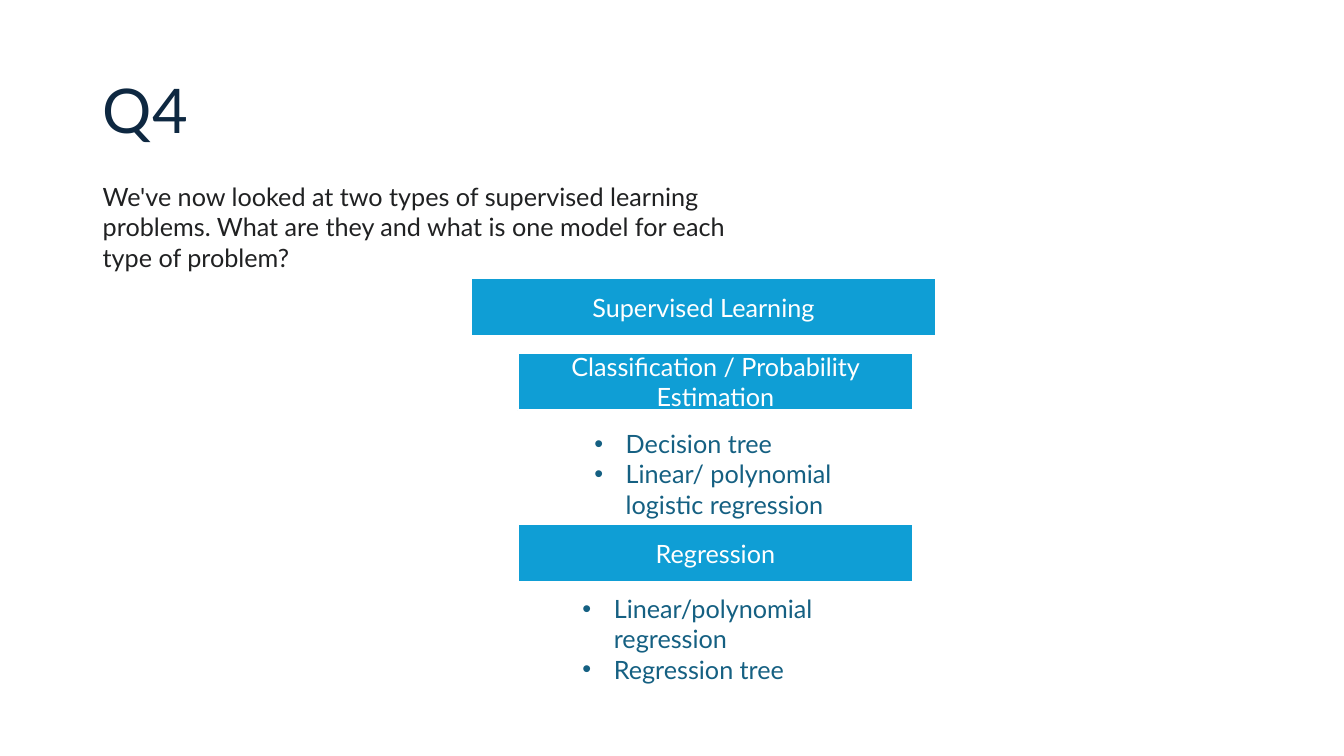
"""Build the Q4 slide on the two types of supervised learning problems."""
from lxml.etree import SubElement
from pptx import Presentation
from pptx.dml.color import RGBColor
from pptx.enum.shapes import MSO_SHAPE as Shape
from pptx.enum.text import MSO_ANCHOR as Anchor, PP_ALIGN as Align
from pptx.oxml.ns import qn
from pptx.util import Cm, Pt

NAVY = RGBColor(0x0E, 0x28, 0x41)
INK = RGBColor(0x20, 0x21, 0x22)
BLUE = RGBColor(0x0F, 0x9E, 0xD5)
TEAL = RGBColor(0x15, 0x60, 0x82)
WHITE = RGBColor(0xFF, 0xFF, 0xFF)

TITLE = "Q4"
QUESTION = ("We've now looked at two types of supervised learning problems. "
            "What are they and what is one model for each type of problem?")
ROOT = "Supervised Learning"
BRANCHES = [
    ("Classification / Probability Estimation", 8.89, 14.73,
     ["Decision tree", "Linear/ polynomial logistic regression"]),
    ("Regression", 13.21, 14.43,
     ["Linear/polynomial regression", "Regression tree"]),
]

MARGIN = 2.34
BAR_CENTRE = 17.73
BRANCH_CENTRE = 18.03
ROOT_WIDTH, BRANCH_WIDTH, BAR_HEIGHT = 11.73, 9.96, 1.45
LIST_WIDTH, TEXT_HEIGHT = 6.6, 2.57
LIST_GAPS = (0.33, 0.17)
BULLET_INDENT = Cm(0.79)


def write_text(shape, *lines, size=18, color=INK, align=Align.LEFT,
               anchor=Anchor.TOP, spacing=None, bullet=None):
    frame = shape.text_frame
    frame.word_wrap = True
    frame.vertical_anchor = anchor
    for index, line in enumerate(lines):
        paragraph = frame.add_paragraph() if index else frame.paragraphs[0]
        paragraph.alignment = align
        paragraph.line_spacing = spacing
        run = paragraph.add_run()
        run.text = line
        run.font.name = "Lato"
        run.font.size = Pt(size)
        run.font.color.rgb = color
        if bullet:
            properties = paragraph._p.get_or_add_pPr()
            properties.set("marL", str(BULLET_INDENT))
            properties.set("indent", str(-BULLET_INDENT))
            SubElement(properties, qn("a:buFont")).set("typeface", "Arial")
            SubElement(properties, qn("a:buChar")).set("char", bullet)


def add_text(slide, left, top, width, height, *lines, **text_format):
    box = slide.shapes.add_textbox(Cm(left), Cm(top), Cm(width), Cm(height))
    write_text(box, *lines, **text_format)


def add_bar(slide, centre, top, width, label):
    bar = slide.shapes.add_shape(Shape.RECTANGLE, Cm(centre - width / 2), Cm(top),
                                 Cm(width), Cm(BAR_HEIGHT))
    bar.shadow.inherit = False
    bar.fill.solid()
    bar.fill.fore_color.rgb = BLUE
    bar.line.color.rgb = WHITE
    bar.line.width = Pt(1.5)
    write_text(bar, label, color=WHITE, align=Align.CENTER, anchor=Anchor.MIDDLE)


def main():
    presentation = Presentation()
    presentation.slide_width, presentation.slide_height = Cm(33.87), Cm(19.05)
    slide = presentation.slides.add_slide(presentation.slide_layouts[6])
    add_text(slide, MARGIN, 1.02, 29.21, 3.68, TITLE, size=44, color=NAVY,
             anchor=Anchor.MIDDLE, spacing=0.9)
    add_text(slide, MARGIN, 4.45, 16.94, TEXT_HEIGHT, QUESTION)
    add_bar(slide, BAR_CENTRE, 7.01, ROOT_WIDTH, ROOT)
    for (label, top, list_left, models), gap in zip(BRANCHES, LIST_GAPS):
        add_bar(slide, BRANCH_CENTRE, top, BRANCH_WIDTH, label)
        add_text(slide, list_left, top + BAR_HEIGHT + gap, LIST_WIDTH, TEXT_HEIGHT,
                 *models, color=TEAL, bullet="•")
    presentation.save("out.pptx")


if __name__ == "__main__":
    main()
